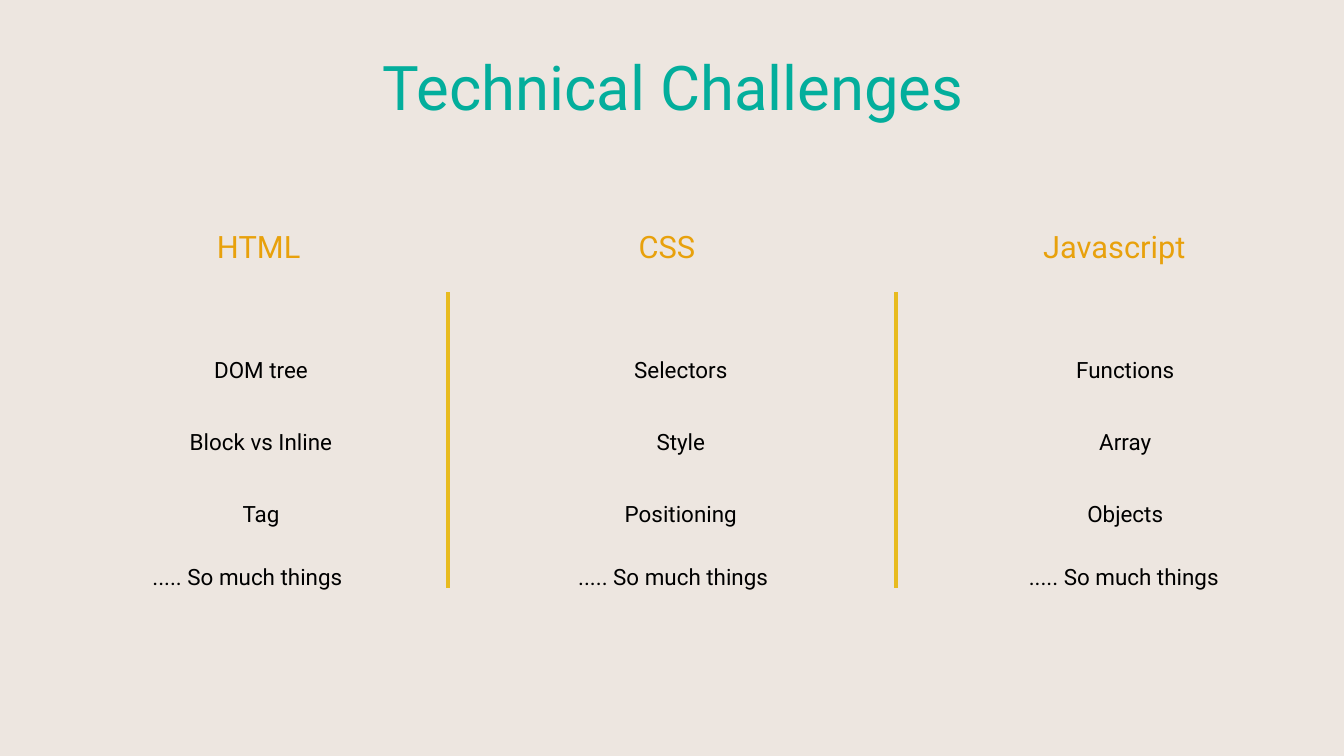
from pptx import Presentation
from pptx.dml.color import RGBColor
from pptx.enum import shapes, text
from pptx.oxml.ns import qn
from pptx.util import Cm, Pt
from lxml import etree

# Content: each topic with the left edges (cm) of its heading, items and closing line
TITLE = "Technical Challenges"
CLOSING = "..... So much things"
TOPICS = [
    ("HTML", ["DOM tree", "Block vs Inline", "Tag"], (5.61, 4.19, 3.51)),
    ("CSS", ["Selectors", "Style", "Positioning"], (26.19, 25.35, 24.97)),
    ("Javascript", ["Functions", "Array", "Objects"], (48.74, 47.75, 47.68)),
]

# Layout in cm
WIDTH, HEIGHT = 67.74, 38.1
HEADING_TOP, HEADING_SIZE = 11.33, (14.86, 2.13)
ITEM_TOP, ITEM_STEP, ITEM_SIZE = 17.81, 3.63, (17.93, 1.63)
CLOSING_TOP = 28.27
DIVIDER_TOP, DIVIDER_BOTTOM = 14.73, 29.62

# Text formats
TITLE_FONT = {"size": Pt(88), "color": "03AE9C"}
HEADING_FONT = {"size": Pt(44), "color": "E8A10C"}
ITEM_FONT = {"size": Pt(32), "color": "000000"}


def rgb(value):
    return RGBColor.from_string(value)


def write(shape, words, font_format, frame_format):
    frame = shape.text_frame
    frame.text = words
    for name, value in frame_format.items():
        setattr(frame, name, value)
    paragraph = frame.paragraphs[0]
    paragraph.alignment = text.PP_ALIGN.CENTER
    font = paragraph.runs[0].font
    for name, value in {"name": "Roboto", "size": font_format["size"]}.items():
        setattr(font, name, value)
    font.color.rgb = rgb(font_format["color"])


def add_label(slide, words, left, top, size, font_format):
    box = slide.shapes.add_textbox(Cm(left), Cm(top), *map(Cm, size))
    write(box, words, font_format,
          {"word_wrap": True, "auto_size": text.MSO_AUTO_SIZE.SHAPE_TO_FIT_TEXT})


def add_divider(slide, x):
    line = slide.shapes.add_connector(
        shapes.MSO_CONNECTOR.STRAIGHT,
        Cm(x), Cm(DIVIDER_TOP), Cm(x), Cm(DIVIDER_BOTTOM))
    line.line.color.rgb = rgb("E8BB1F")
    line.line.width = Pt(6)
    etree.SubElement(line._element.spPr, qn("a:effectLst"))


def main():
    deck = Presentation()
    deck.slide_width, deck.slide_height = Cm(WIDTH), Cm(HEIGHT)
    slide = deck.slides.add_slide(deck.slide_layouts[5])
    slide.background.fill.solid()
    slide.background.fill.fore_color.rgb = rgb("EDE6E0")

    # Title
    title = slide.shapes.title
    place = {"left": 5.61, "top": 2.34, "width": 56.64, "height": 3.28}
    for name, value in place.items():
        setattr(title, name, Cm(value))
    margins = {f"margin_{side}": Cm(0.13) for side in ("left", "top", "right", "bottom")}
    write(title, TITLE, TITLE_FONT,
          {**margins, "word_wrap": True, "auto_size": text.MSO_AUTO_SIZE.NONE,
           "vertical_anchor": text.MSO_ANCHOR.TOP})

    # Topic columns
    for heading, items, (heading_left, item_left, closing_left) in TOPICS:
        add_label(slide, heading, heading_left, HEADING_TOP, HEADING_SIZE, HEADING_FONT)
        for row, item in enumerate(items):
            add_label(slide, item, item_left, ITEM_TOP + row * ITEM_STEP, ITEM_SIZE, ITEM_FONT)
        add_label(slide, CLOSING, closing_left, CLOSING_TOP, ITEM_SIZE, ITEM_FONT)

    # Dividers between the columns
    for column in range(1, len(TOPICS)):
        add_divider(slide, WIDTH * column / len(TOPICS))

    deck.save("out.pptx")


if __name__ == "__main__":
    main()
